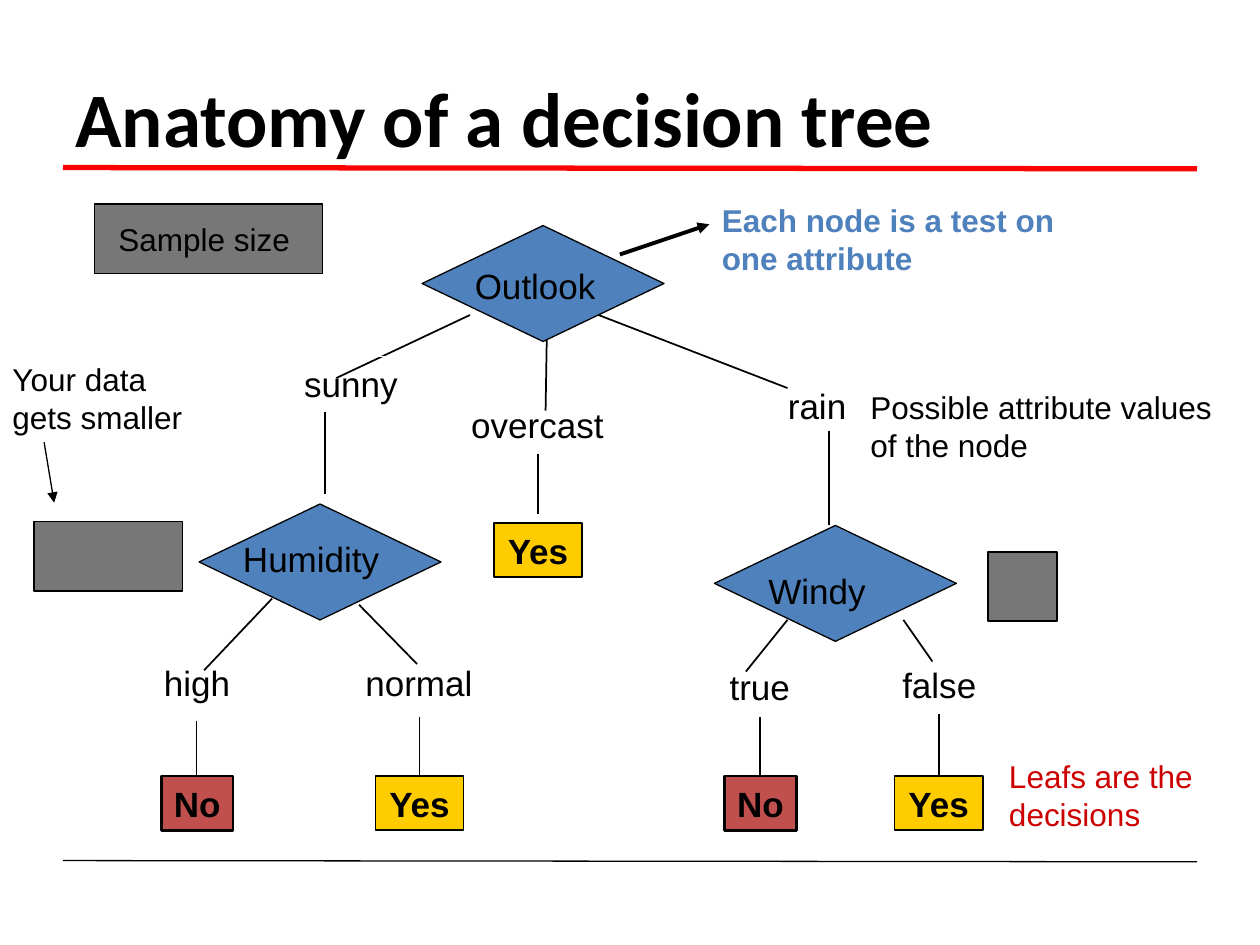
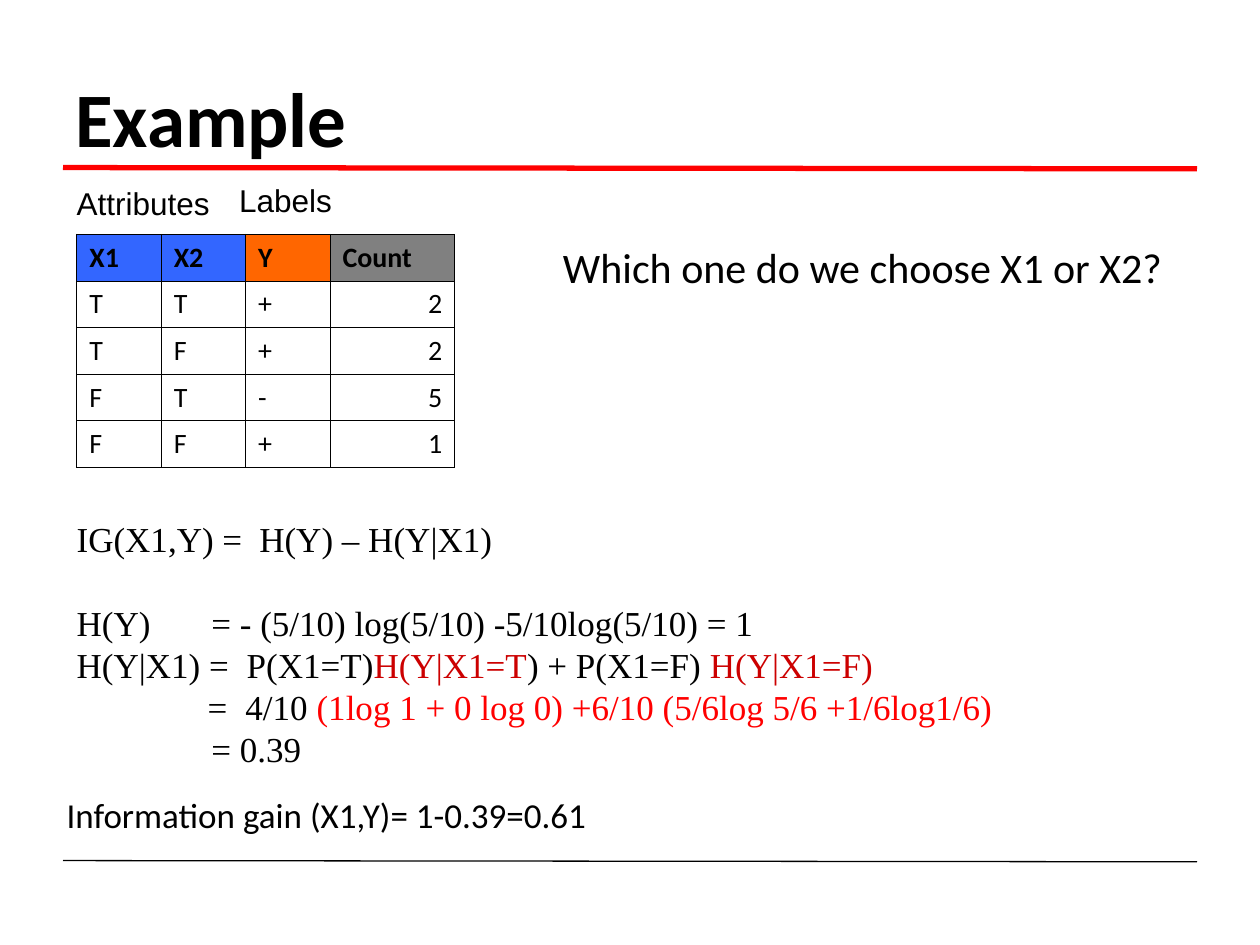
from dataclasses import dataclass
from typing import NamedTuple

from lxml.etree import SubElement
from pptx import Presentation
from pptx.dml.color import RGBColor
from pptx.enum.shapes import MSO_CONNECTOR, MSO_SHAPE
from pptx.enum.text import MSO_ANCHOR, MSO_AUTO_SIZE, PP_ALIGN
from pptx.oxml.ns import qn
from pptx.shapes.autoshape import Shape
from pptx.slide import Slide
from pptx.text.text import TextFrame
from pptx.util import Inches, Pt

COLORS = {
    "black": "000000",
    "white": "FFFFFF",
    "rule": "FF0000",
    "test": "4F81BD",
    "yes": "FFCC00",
    "no": "C0504D",
    "sample": "777777",
    "decision": "CC0000",
    "attribute": "3366FF",
    "label": "FF6600",
    "count": "808080",
}
DIAMOND_SIZE = (1.92, 0.92)
LEAF_HEIGHT = 0.43


class Box(NamedTuple):
    left: float
    top: float
    width: float
    height: float


class Run(NamedTuple):
    text: str
    color: str = "black"


@dataclass
class Line:
    runs: list[Run]
    tabs: tuple[float, ...] = ()
    before: float = 0


@dataclass
class Caption:
    text: str
    box: Box
    size: float = 18
    color: str = "black"
    bold: bool = False
    font: str = "Arial"
    wrap: bool = False


@dataclass
class Edge:
    start: tuple[float, float]
    end: tuple[float, float]
    width: float = 1
    color: str = "black"
    arrow: bool = False


@dataclass
class Test:
    corner: tuple[float, float]
    caption: Caption


@dataclass
class Leaf:
    answer: str
    left: float
    top: float = 6.16


BRANCH_VALUES = [
    Caption("overcast", Box(3.64, 3.15, 1.25, 0.43), 20),
    Caption("high", Box(1.2, 5.2, 0.73, 0.43), 20),
    Caption("normal", Box(2.8, 5.2, 1.05, 0.43), 20),
    Caption("false", Box(7.06, 5.22, 0.79, 0.43), 20),
    Caption("true", Box(5.69, 5.23, 0.68, 0.43), 20),
    Caption("rain", Box(6.15, 3, 0.67, 0.43), 20),
]
BRANCHES = [
    Edge((3.73, 2.5), (2.67, 3)),
    Edge((4.34, 2.67), (4.33, 3.26)),
    Edge((4.75, 2.5), (6.25, 3.08)),
    Edge((2.16, 4.75), (1.62, 5.32)),
    Edge((2.85, 4.8), (3.31, 5.27)),
    Edge((6.25, 4.92), (5.92, 5.33)),
    Edge((7.17, 4.92), (7.4, 5.25)),
    Edge((1.56, 5.72), (1.56, 6.2)),
    Edge((7.45, 5.67), (7.45, 6.15)),
    Edge((6.03, 5.69), (6.03, 6.17)),
    Edge((3.33, 5.69), (3.33, 6.17)),
    Edge((4.27, 3.6), (4.27, 4.08)),
    Edge((2.58, 3.25), (2.58, 3.92), 0.75),
    Edge((6.58, 3.42), (6.58, 4.17), 0.75),
]
POINTERS = [
    Edge((4.92, 2.02), (5.63, 1.78), 2.25, arrow=True),
    Edge((0.35, 3.51), (0.43, 3.99), 0.75, arrow=True),
]
LEAVES = [
    Leaf("No", 1.28),
    Leaf("No", 5.75),
    Leaf("Yes", 2.98),
    Leaf("Yes", 7.1),
    Leaf("Yes", 3.92, 4.15),
]
TESTS = [
    Test((3.35, 1.79), Caption("Outlook", Box(3.67, 2.05, 1.16, 0.44), 20)),
    Test((1.58, 4), Caption("Humidity", Box(1.83, 4.22, 1.28, 0.44), 20)),
    Test((5.67, 4.17), Caption("Windy", Box(6, 4.47, 0.97, 0.44), 20)),
]
REMARKS = [
    Caption("Each node is a test on\none attribute", Box(5.63, 1.55, 2.91, 0.7), color="test", bold=True),
    Caption("Possible attribute values\nof the node", Box(6.81, 3.03, 2.98, 0.7)),
    Caption("Leafs are the decisions", Box(7.91, 5.96, 2.2, 0.7), color="decision", wrap=True),
    Caption("Your data\ngets smaller", Box(0, 2.81, 1.55, 0.7)),
]
SAMPLE_BARS = [
    ("Sample size ", Box(0.75, 1.62, 1.81, 0.55)),
    ("", Box(0.27, 4.14, 1.18, 0.55)),
    ("", Box(7.84, 4.38, 0.55, 0.55)),
]
EXAMPLE_CAPTIONS = [
    Caption("Attributes", Box(0.51, 1.41, 1.3, 0.4)),
    Caption("Labels", Box(1.8, 1.39, 1, 0.4)),
    Caption("Information gain (X1,Y)= 1-0.39=0.61", Box(0.43, 6.25, 4.36, 0.44), 20, font="Calibri"),
    Caption("Which one do we choose X1 or X2?", Box(4.37, 1.87, 4.96, 0.5), 24, font="Calibri"),
]
OBSERVATIONS = [
    ("X1", "X2", "Y", "Count"),
    ("T", "T", "+", "2"),
    ("T", "F", "+", "2"),
    ("F", "T", "-", "5"),
    ("F", "F", "+", "1"),
]
HEADER_FILLS = ("attribute", "attribute", "label", "count")
COLUMN_WIDTHS = (0.67, 0.67, 0.67, 0.99)
DERIVATION = [
    Line([Run("IG(X1,Y) =\tH(Y) – H(Y|X1)")], (1.45,)),
    Line([Run("H(Y)\t= - (5/10) log(5/10) -5/10log(5/10) = 1")], (1.07,), before=24),
    Line(
        [
            Run("H(Y|X1) =\tP(X1=T)"),
            Run("H(Y|X1=T", "decision"),
            Run(") + P(X1=F) "),
            Run("H(Y|X1=F)", "decision"),
        ],
        (1.35,),
    ),
    Line(
        [Run("\t=\t4/10 "), Run("(1log 1 + 0 log 0) +6/10 (5/6log 5/6 +1/6log1/6)", "rule")],
        (1.04, 1.34),
    ),
    Line([Run("\t= 0.39")], (1.07,)),
]


def rgb(name: str) -> RGBColor:
    return RGBColor.from_string(COLORS[name])


def inches(values: tuple[float, ...]) -> list[Inches]:
    return [Inches(value) for value in values]


def write(frame: TextFrame, text: str | list[Line], *, size: float = 18, font: str = "Arial",
          color: str = "black", bold: bool = False, align: PP_ALIGN = PP_ALIGN.LEFT,
          anchor: MSO_ANCHOR = MSO_ANCHOR.TOP, wrap: bool = False) -> None:
    frame.word_wrap = wrap
    frame.vertical_anchor = anchor
    lines = [Line([Run(part, color)]) for part in text.split("\n")] if isinstance(text, str) else text
    for index, line in enumerate(lines):
        paragraph = frame.add_paragraph() if index else frame.paragraphs[0]
        paragraph.alignment = align
        if line.before:
            paragraph.space_before = Pt(line.before)
        if line.tabs:
            stops = SubElement(paragraph._p.get_or_add_pPr(), qn("a:tabLst"))
            for position in line.tabs:
                SubElement(stops, qn("a:tab"), pos=str(Inches(position)), algn="l")
        for part in line.runs:
            run = paragraph.add_run()
            run.text = part.text
            run.font.name = font
            run.font.size = Pt(size)
            run.font.bold = bold
            run.font.color.rgb = rgb(part.color)


def add_caption(slide: Slide, caption: Caption, align: PP_ALIGN = PP_ALIGN.LEFT) -> None:
    frame = slide.shapes.add_textbox(*inches(caption.box)).text_frame
    write(frame, caption.text, size=caption.size, font=caption.font, color=caption.color,
          bold=caption.bold, align=align, wrap=caption.wrap)
    frame.auto_size = MSO_AUTO_SIZE.SHAPE_TO_FIT_TEXT


def add_block(slide: Slide, kind: MSO_SHAPE, box: Box, fill: str | None,
              outline: str = "black", width: float = 0.75) -> Shape:
    block = slide.shapes.add_shape(kind, *inches(box))
    block.shadow.inherit = False
    if fill:
        block.fill.solid()
        block.fill.fore_color.rgb = rgb(fill)
    else:
        block.fill.background()
    block.line.color.rgb = rgb(outline)
    block.line.width = Pt(width)
    return block


def add_edge(slide: Slide, edge: Edge) -> None:
    connector = slide.shapes.add_connector(MSO_CONNECTOR.STRAIGHT, *inches(edge.start + edge.end))
    connector.line.color.rgb = rgb(edge.color)
    connector.line.width = Pt(edge.width)
    if edge.arrow:
        SubElement(connector.line._get_or_add_ln(), qn("a:tailEnd"), type="triangle")
    SubElement(connector._element.spPr, qn("a:effectLst"))


def add_titled_slide(deck: Presentation, title: str) -> Slide:
    slide = deck.slides.add_slide(deck.slide_layouts[6])
    add_edge(slide, Edge((0.5, 1.33), (9.5, 1.34), 3, "rule"))
    add_edge(slide, Edge((0.5, 6.83), (9.5, 6.84), 0.75))
    heading = slide.shapes.add_textbox(*inches(Box(0.5, 0.3, 9, 1.25)))
    write(heading.text_frame, title, size=44, font="Calibri", bold=True,
          anchor=MSO_ANCHOR.MIDDLE, wrap=True)
    return slide


def build_tree(slide: Slide) -> None:
    for value in BRANCH_VALUES:
        add_caption(slide, value, PP_ALIGN.CENTER)
    for branch in BRANCHES:
        add_edge(slide, branch)
    sunny = add_block(slide, MSO_SHAPE.RECTANGLE, Box(2.31, 2.83, 0.95, 0.43), None, "white", 1)
    write(sunny.text_frame, "sunny", size=20, align=PP_ALIGN.CENTER)
    for leaf in LEAVES:
        positive = leaf.answer == "Yes"
        box = Box(leaf.left, leaf.top, 0.7 if positive else 0.57, LEAF_HEIGHT)
        block = add_block(slide, MSO_SHAPE.RECTANGLE, box, leaf.answer.lower(), width=1 if positive else 1.5)
        write(block.text_frame, leaf.answer, size=20, bold=True, align=PP_ALIGN.CENTER)
    for test in TESTS:
        add_block(slide, MSO_SHAPE.DIAMOND, Box(*test.corner, *DIAMOND_SIZE), "test")
        add_caption(slide, test.caption)
    for remark in REMARKS:
        add_caption(slide, remark)
    for text, box in SAMPLE_BARS:
        bar = add_block(slide, MSO_SHAPE.RECTANGLE, box, "sample")
        if text:
            write(bar.text_frame, text, align=PP_ALIGN.CENTER, anchor=MSO_ANCHOR.MIDDLE)
    for pointer in POINTERS:
        add_edge(slide, pointer)


def add_observations(slide: Slide) -> None:
    box = Box(0.61, 1.86, sum(COLUMN_WIDTHS), 1.85)
    table = slide.shapes.add_table(len(OBSERVATIONS), len(COLUMN_WIDTHS), *inches(box)).table
    for column, width in zip(table.columns, COLUMN_WIDTHS):
        column.width = Inches(width)
    for row, values in enumerate(OBSERVATIONS):
        for column, value in enumerate(values):
            cell = table.cell(row, column)
            header = row == 0
            numeric = values[column].isdigit()
            write(cell.text_frame, value, size=16, font="Calibri", bold=header, wrap=True,
                  align=PP_ALIGN.RIGHT if numeric else PP_ALIGN.LEFT)
            cell.vertical_anchor = MSO_ANCHOR.BOTTOM
            properties = cell._tc.get_or_add_tcPr()
            for side in ("lnL", "lnR", "lnT", "lnB"):
                border = SubElement(properties, qn(f"a:{side}"), w=str(Pt(0.45)))
                ink = SubElement(border, qn("a:solidFill"))
                SubElement(ink, qn("a:srgbClr"), val=COLORS["black"])
            cell.fill.solid()
            cell.fill.fore_color.rgb = rgb(HEADER_FILLS[column] if header else "white")


def build_example(slide: Slide) -> None:
    add_observations(slide)
    for caption in EXAMPLE_CAPTIONS:
        add_caption(slide, caption)
    derivation = slide.shapes.add_textbox(*inches(Box(0.51, 4.06, 8.66, 2.1)))
    write(derivation.text_frame, DERIVATION, size=20, font="Times New Roman", wrap=True)


def main() -> None:
    deck = Presentation()
    deck.slide_width, deck.slide_height = inches((10, 7.5))
    build_tree(add_titled_slide(deck, "Anatomy of a decision tree"))
    build_example(add_titled_slide(deck, "Example"))
    deck.save("out.pptx")


if __name__ == "__main__":
    main()
